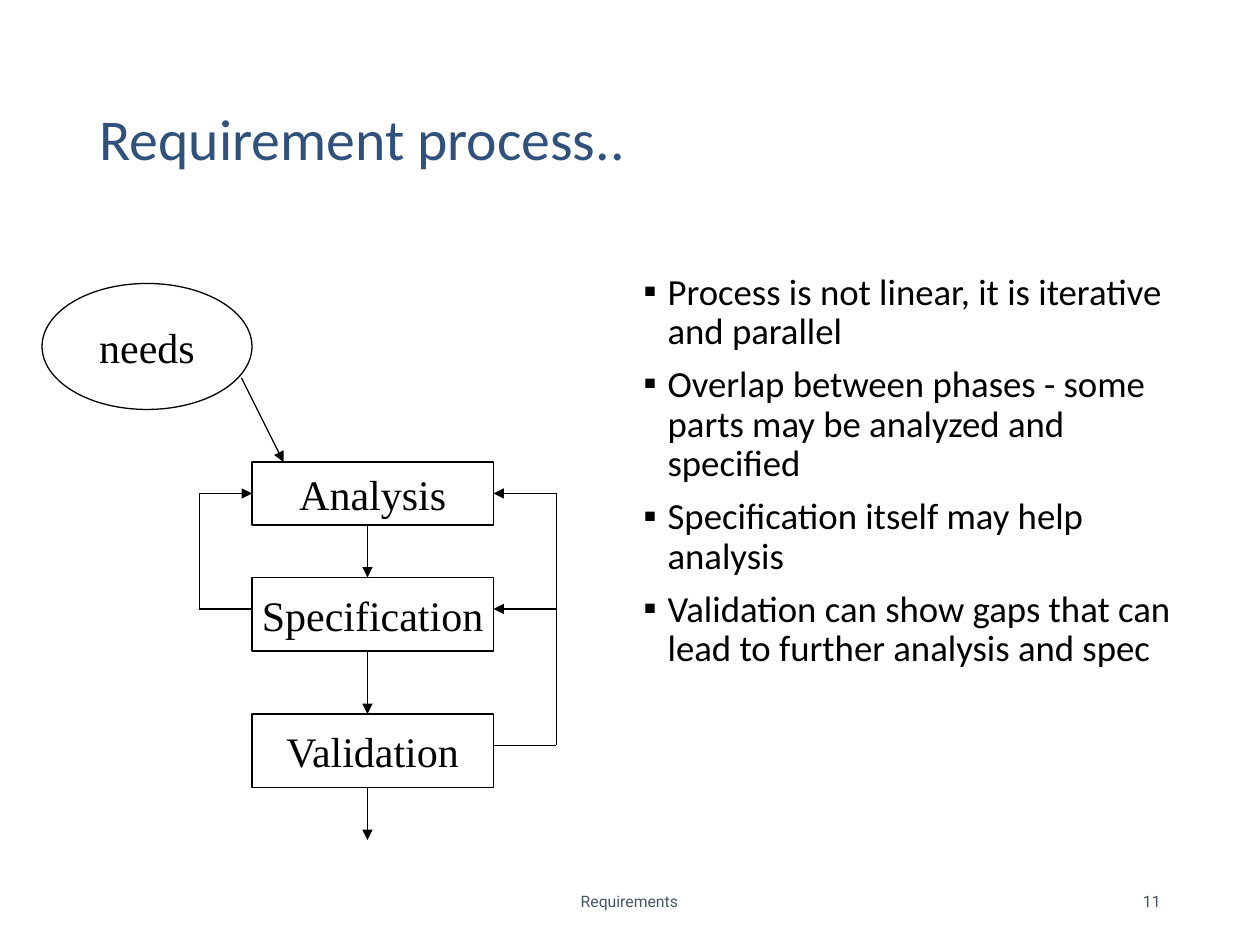
from lxml.etree import SubElement
from pptx import Presentation
from pptx.dml.color import RGBColor
from pptx.enum.shapes import MSO_CONNECTOR, MSO_SHAPE
from pptx.enum.text import MSO_ANCHOR, PP_ALIGN
from pptx.oxml.ns import qn
from pptx.util import Inches, Pt

NAVY = RGBColor(0x31, 0x51, 0x7D)
SLATE = RGBColor(0x44, 0x54, 0x6A)
BLACK = RGBColor(0, 0, 0)
WHITE = RGBColor(255, 255, 255)
WIDTH, HEIGHT = Inches(10), Inches(7.5)
DIAGRAM_COLUMNS, DIAGRAM_ROWS = 49, 53

STEPS = [
    ("needs", MSO_SHAPE.OVAL, (0, 0, 20, 12)),
    ("Analysis", MSO_SHAPE.RECTANGLE, (20, 17, 23, 6)),
    ("Specification", MSO_SHAPE.RECTANGLE, (20, 28, 23, 7)),
    ("Validation", MSO_SHAPE.RECTANGLE, (20, 41, 23, 7)),
]
ROUTES = [
    [(31, 48), (31, 53)],
    [(31, 23), (31, 28)],
    [(31, 35), (31, 41)],
    [(19, 9), (23, 17)],
    [(20, 31), (15, 31), (15, 20), (20, 20)],
    [(43, 44), (49, 44), (49, 20), (43, 20)],
    [(49, 31), (43, 31)],
]
POINTS = [
    "Process is not linear, it is iterative and parallel",
    "Overlap between phases - some parts may be analyzed and specified",
    "Specification itself may help analysis",
    "Validation can show gaps that can lead to further analysis and spec",
]


def share(left, top, width, height):
    return (round(WIDTH * left), round(HEIGHT * top),
            round(WIDTH * width), round(HEIGHT * height))


def write(para, text, font="Calibri", size=21, color=BLACK,
          align=PP_ALIGN.LEFT, spacing=None, before=0):
    para.alignment = align
    para.line_spacing = spacing
    para.space_before = Pt(before)
    span = para.add_run()
    span.text = text
    span.font.name = font
    span.font.size = Pt(size)
    span.font.color.rgb = color


def add_bullet(para):
    properties = para._p.get_or_add_pPr()
    properties.set("marL", str(Inches(0.45)))
    properties.set("indent", str(Inches(-0.19)))
    color = SubElement(properties, qn("a:buClr"))
    SubElement(color, qn("a:srgbClr"), val=str(BLACK))
    SubElement(properties, qn("a:buFont"), typeface="Calibri")
    SubElement(properties, qn("a:buChar"), char="▪")


def add_title(page, box):
    title = page.shapes.title
    title.left, title.top, title.width, title.height = box
    frame = title.text_frame
    frame.vertical_anchor = MSO_ANCHOR.MIDDLE
    write(frame.paragraphs[0], "Requirement process..", size=33, color=NAVY, spacing=0.9)


def add_points(page, box):
    frame = page.shapes.add_textbox(*box).text_frame
    frame.word_wrap = True
    for index, text in enumerate(POINTS):
        para = frame.add_paragraph() if index else frame.paragraphs[0]
        add_bullet(para)
        write(para, text, spacing=0.9, before=7.5 if index else 0)


def add_footer(page, box, text, align):
    frame = page.shapes.add_textbox(*box).text_frame
    frame.word_wrap = True
    frame.vertical_anchor = MSO_ANCHOR.MIDDLE
    write(frame.paragraphs[0], text, font="Roboto", size=9, color=SLATE, align=align)


def add_step(page, box, text, kind):
    step = page.shapes.add_shape(kind, *box)
    step.shadow.inherit = False
    step.fill.solid()
    step.fill.fore_color.rgb = WHITE
    step.line.color.rgb = BLACK
    step.line.width = Pt(0.75)
    frame = step.text_frame
    frame.word_wrap = False
    frame.vertical_anchor = MSO_ANCHOR.MIDDLE
    write(frame.paragraphs[0], text, font="Times New Roman", size=24,
          align=PP_ALIGN.CENTER)


def add_line(page, start, end, arrow=False):
    line = page.shapes.add_connector(MSO_CONNECTOR.STRAIGHT, *start, *end)
    line.line.color.rgb = BLACK
    line.line.width = Pt(0.75)
    if arrow:
        SubElement(line.line._get_or_add_ln(), qn("a:tailEnd"), type="triangle")
    SubElement(line._element.spPr, qn("a:effectLst"))


def add_diagram(page, box):
    left, top, width, height = box
    column, row = width / DIAGRAM_COLUMNS, height / DIAGRAM_ROWS

    def place(x, y):
        return round(left + x * column), round(top + y * row)

    for text, kind, (x, y, columns, rows) in STEPS:
        size = round(columns * column), round(rows * row)
        add_step(page, (*place(x, y), *size), text, kind)
    for route in ROUTES:
        stops = [place(*stop) for stop in route]
        for start, end in zip(stops, stops[1:]):
            add_line(page, start, end, arrow=end == stops[-1])


def main():
    deck = Presentation()
    deck.slide_width, deck.slide_height = WIDTH, HEIGHT
    page = deck.slides.add_slide(deck.slide_layouts[5])
    add_title(page, share(0.069, 0.4 / 7.5, 0.863, 1.45 / 7.5))
    add_points(page, share(0.475, 2.12 / 7.5, 0.475, 0.64))
    add_footer(page, share(0.331, 6.95 / 7.5, 0.337, 0.4 / 7.5),
               "Requirements", PP_ALIGN.CENTER)
    add_footer(page, share(0.706, 6.95 / 7.5, 0.225, 0.4 / 7.5), "11", PP_ALIGN.RIGHT)
    add_diagram(page, share(4 / 120, 27 / 90, DIAGRAM_COLUMNS / 120, DIAGRAM_ROWS / 90))
    deck.save("out.pptx")


if __name__ == "__main__":
    main()
